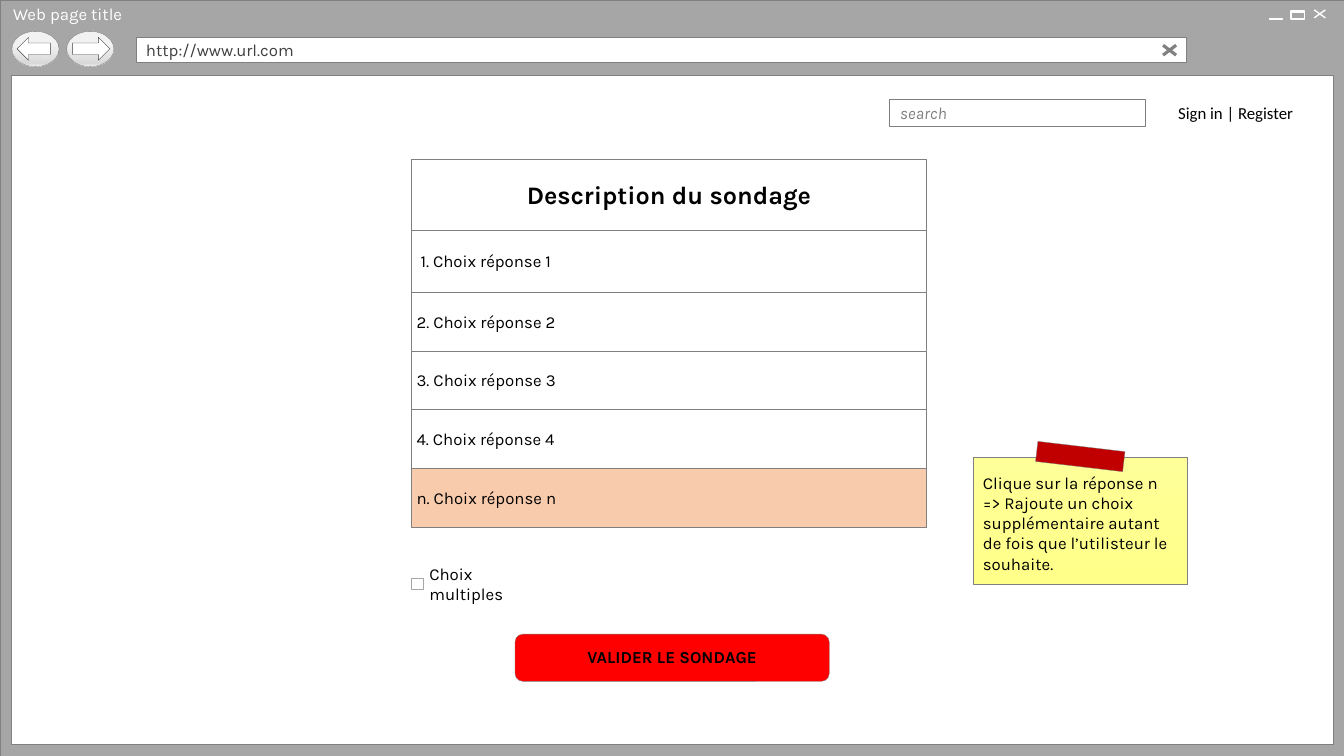
from lxml import etree
from pptx import Presentation
from pptx.dml.color import RGBColor
from pptx.enum.shapes import MSO_CONNECTOR, MSO_SHAPE
from pptx.enum.text import MSO_ANCHOR, PP_ALIGN
from pptx.oxml.ns import qn
from pptx.util import Cm, Pt

RECT, ROUND, OVAL = MSO_SHAPE.RECTANGLE, MSO_SHAPE.ROUNDED_RECTANGLE, MSO_SHAPE.OVAL
LEFT_ARROW, RIGHT_ARROW = MSO_SHAPE.LEFT_ARROW, MSO_SHAPE.RIGHT_ARROW
STRAIGHT = MSO_CONNECTOR.STRAIGHT
TOP, MIDDLE = MSO_ANCHOR.TOP, MSO_ANCHOR.MIDDLE
LEFT, CENTER = PP_ALIGN.LEFT, PP_ALIGN.CENTER

BLACK, WHITE, GREY, DARK, FRAME = "000000", "FFFFFF", "808080", "404040", "A6A6A6"
BUTTON_STOPS = [(36, "F2F2F2"), (91, "D9D9D9"), (100, "F2F2F2")]
NOTE_STOPS = [(0, "FFFF99"), (100, "FFFF89")]
ROW_INSETS = (0.13, 0.05, 0.13, 0.05)


def color(value):
    return RGBColor.from_string(value)


def set_gradient(sp, stops):
    sp.fill.gradient()
    sp.fill.gradient_angle = 270
    gs_list = sp._element.spPr.find(qn("a:gradFill")).find(qn("a:gsLst"))
    for gs in list(gs_list):
        gs_list.remove(gs)
    for position, value in stops:
        gs = etree.SubElement(gs_list, qn("a:gs"), pos=str(position * 1000))
        etree.SubElement(gs, qn("a:srgbClr"), val=value)


def add_box(s, x, y, w, h, fill=WHITE, line=GREY, width=0.25, shape=RECT):
    sp = s.shapes.add_shape(shape, Cm(x), Cm(y), Cm(w), Cm(h))
    sp.shadow.inherit = False
    if fill is None:
        sp.fill.background()
    elif isinstance(fill, list):
        set_gradient(sp, fill)
    else:
        sp.fill.solid()
        sp.fill.fore_color.rgb = color(fill)
    sp.line.color.rgb = color(line)
    sp.line.width = Pt(width)
    return sp


def add_label(s, x, y, w, h):
    return s.shapes.add_textbox(Cm(x), Cm(y), Cm(w), Cm(h))


def write(sp, text, value=BLACK, size=12, font="Karla", bold=False, italic=False,
          align=LEFT, anchor=MIDDLE, insets=(0.25, 0.13, 0.25, 0.13), wrap=True):
    tf = sp.text_frame
    tf.word_wrap = wrap
    tf.vertical_anchor = anchor
    tf.margin_left, tf.margin_top, tf.margin_right, tf.margin_bottom = map(Cm, insets)
    p = tf.paragraphs[0]
    p.alignment = align
    r = p.add_run()
    r.text = text
    r.font.name = font
    r.font.size = Pt(size)
    r.font.bold = bold
    r.font.italic = italic
    r.font.color.rgb = color(value)


def add_cross(s, x, y, w, h, value, width):
    for y1, y2 in ((y, y + h), (y + h, y)):
        line = s.shapes.add_connector(STRAIGHT, Cm(x), Cm(y1), Cm(x + w), Cm(y2))
        line.line.color.rgb = color(value)
        line.line.width = Pt(width)
        etree.SubElement(line._element.spPr, qn("a:effectLst"))


def draw_browser(s, x, y, w, h):
    add_box(s, x, y, w, h, FRAME)
    write(add_label(s, x + 0.08, y + 0.05, 4.34, 0.64), "Web page title", WHITE,
          insets=(0.25, 0.05, 0.25, 0.08), wrap=False)
    # Back and forward buttons
    for left, inset, arrow_w, arrow in ((0.3, 0.13, 0.84, LEFT_ARROW),
                                        (1.68, 0.15, 0.94, RIGHT_ARROW)):
        add_box(s, x + left, y + 0.79, 1.19, 0.89, BUTTON_STOPS, shape=OVAL)
        add_box(s, x + left + inset, y + 0.94, arrow_w, 0.58, WHITE, DARK, shape=arrow)
    # Window controls
    add_cross(s, x + w - 0.75, y + 0.25, 0.28, 0.2, WHITE, 1)
    add_box(s, x + w - 1.33, y + 0.28, 0.33, 0.2, None, WHITE, 1)
    for left, top in ((1.33, 0.28), (1.89, 0.46)):
        add_box(s, x + w - left, y + top, 0.33, 0.03, "919191", WHITE)
    # Page area and address bar
    add_box(s, x + 0.28, y + 1.9, w - 0.56, h - 2.2)
    write(add_box(s, x + 3.43, y + 0.94, 26.47, 0.64), "http://www.url.com", DARK)
    add_cross(s, x + 29.31, y + 1.14, 0.33, 0.25, GREY, 2.25)


def draw_account_bar(s, x, y):
    write(add_box(s, x, y + 0.05, 6.45, 0.66), "search", GREY, italic=True,
          insets=(0.28, 0.13, 0.28, 0.13))
    write(add_label(s, x + 7.04, y, 3.53, 0.76), "Sign in | Register",
          font="Calibri", anchor=TOP, wrap=False)


def draw_poll(s, x, y, w):
    write(add_box(s, x, y, w, 1.8), "Description du sondage", size=18, bold=True,
          align=CENTER, insets=ROW_INSETS, wrap=False)
    top = y + 1.8
    for mark in "1234n":
        first = mark == "1"
        h = 1.55 if first else 1.48
        row = add_box(s, x, top, w, h, "F8CBAD" if mark == "n" else WHITE)
        insets = (0.23, *ROW_INSETS[1:]) if first else ROW_INSETS
        write(row, f"{mark}. Choix réponse {mark}", insets=insets, wrap=False)
        top += h


def draw_note(s, x, y, w, h):
    write(add_box(s, x, y, w, h, NOTE_STOPS),
          "Clique sur la réponse n => Rajoute un choix supplémentaire autant de fois "
          "que l’utilisteur le souhaite.", anchor=TOP, insets=(0.25, 0.38, 0.25, 0.13))
    tape = add_box(s, x + 1.6, y - 0.28, 2.21, 0.51, "C00000")
    tape.rotation = 6.7


def draw_poll_actions(s, x, y):
    # Multiple choice checkbox
    write(add_label(s, x, y - 0.18, 3.58, 0.64), "Choix multiples",
          insets=(0.46, 0.05, 0.6, 0.08))
    add_box(s, x, y, 0.3, 0.28, WHITE, FRAME)
    # Submit button
    button = add_box(s, x + 2.62, y + 1.4, 7.92, 1.19, "FF0000", shape=ROUND)
    write(button, "VALIDER LE SONDAGE", bold=True, align=CENTER,
          insets=(0.25, 0, 0.25, 0.03))


def main():
    prs = Presentation()
    prs.slide_width, prs.slide_height = Cm(33.87), Cm(19.05)
    s = prs.slides.add_slide(prs.slide_layouts[6])
    draw_browser(s, 0, 0, 33.87, 19.05)
    draw_account_bar(s, 22.4, 2.46)
    draw_poll(s, 10.37, 4.01, 12.98)
    draw_note(s, 24.52, 11.53, 5.41, 3.19)
    draw_poll_actions(s, 10.36, 14.58)
    prs.save("out.pptx")


if __name__ == "__main__":
    main()
